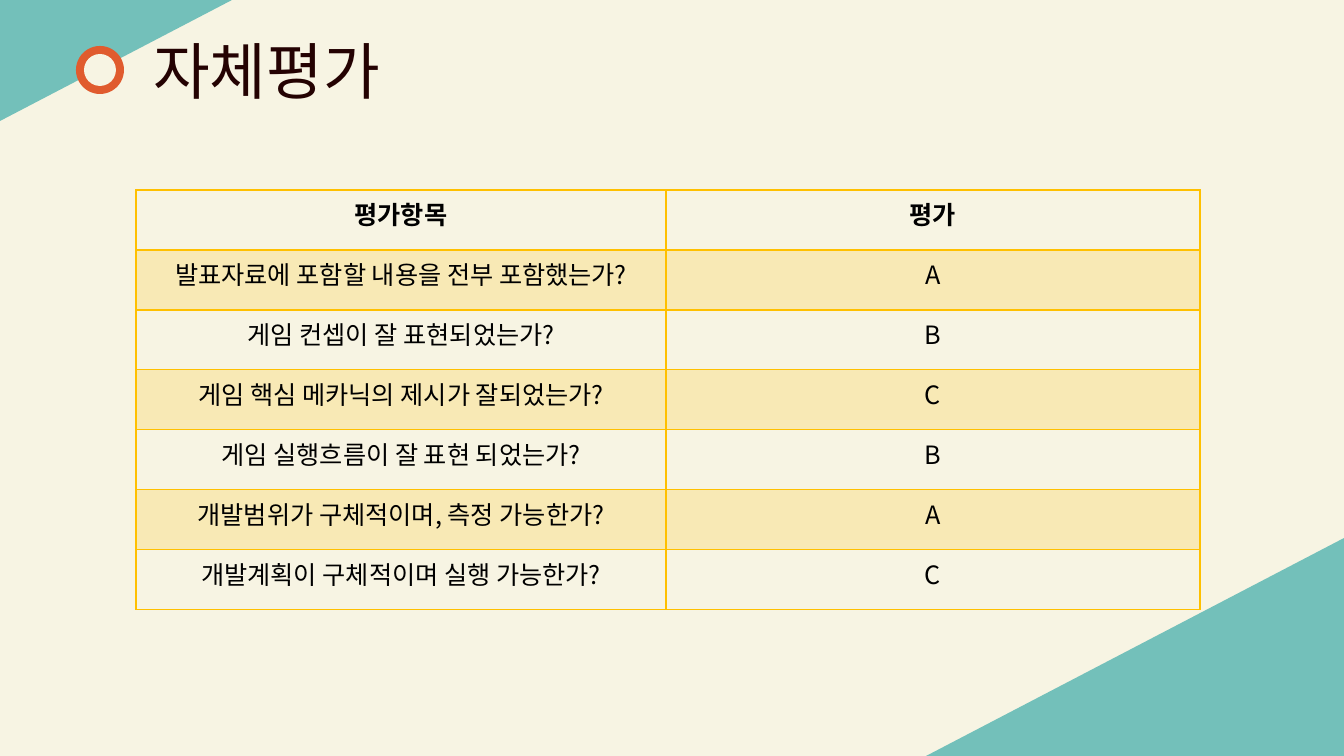
from lxml.etree import SubElement
from pptx import Presentation
from pptx.dml.color import RGBColor
from pptx.enum.shapes import MSO_SHAPE as Shape
from pptx.enum.text import PP_ALIGN as Align
from pptx.oxml.ns import qn
from pptx.util import Pt

PX = 914400 / 100.8
FONT = "Noto Sans CJK KR"
COLORS = {
    "paper": "F7F4E3",
    "teal": "73C0BA",
    "orange": "E05B2E",
    "title": "240202",
    "ink": "000000",
    "gold": "FFC000",
}
TITLE = {"size": Pt(44), "bold": False}
HEADER = {"size": Pt(18), "bold": True}
BODY = {"size": Pt(18), "bold": False}
RATINGS = [
    ("평가항목", "평가"),
    ("발표자료에 포함할 내용을 전부 포함했는가?", "A"),
    ("게임 컨셉이 잘 표현되었는가?", "B"),
    ("게임 핵심 메카닉의 제시가 잘되었는가?", "C"),
    ("게임 실행흐름이 잘 표현 되었는가?", "B"),
    ("개발범위가 구체적이며, 측정 가능한가?", "A"),
    ("개발계획이 구체적이며 실행 가능한가?", "C"),
]


def emu(*lengths):
    """Turn px lengths into EMU."""
    return [round(length * PX) for length in lengths]


def color(name):
    """Look up a named colour."""
    return RGBColor.from_string(COLORS[name])


def paint(shape, name):
    """Give a shape a flat fill without outline or shadow."""
    shape.shadow.inherit = False
    shape.fill.solid()
    shape.fill.fore_color.rgb = color(name)
    shape.line.fill.background()


def write(frame, text, style, ink):
    """Write one centred line into a text frame."""
    para = frame.paragraphs[0]
    para.alignment = Align.CENTER
    span = para.add_run()
    span.text = text
    span.font.color.rgb = color(ink)
    span.font.name = FONT
    for key, value in style.items():
        setattr(span.font, key, value)
    SubElement(span.font._element, qn("a:ea"), typeface=FONT)


def add_corner(page, corner, width, height):
    """Fill a page corner with a triangle; signed sizes point inward."""
    left, top = corner
    outline = page.shapes.build_freeform(left, top, scale=PX)
    outline.add_line_segments([(left + width, top), (left, top + height)])
    paint(outline.convert_to_shape(), "teal")


def add_heading(page, left, top, text):
    """Place the ring and the title beside it."""
    size = 48
    for inset, name in ((0, "orange"), (8, "paper")):
        side = size - 2 * inset
        disc = page.shapes.add_shape(
            Shape.OVAL, *emu(left + inset, top + inset, side, side))
        paint(disc, name)
    box = page.shapes.add_textbox(*emu(left + 16, top - 18, 349, 85))
    box.text_frame.word_wrap = True
    write(box.text_frame, text, TITLE, "title")


def add_borders(cell, bottom):
    """Draw gold lines round a cell, with its own bottom width."""
    props = cell._tc.get_or_add_tcPr()
    for side, points in (("L", 1), ("R", 1), ("T", 1), ("B", bottom)):
        line = SubElement(props, qn(f"a:ln{side}"), w=str(Pt(points)))
        fill = SubElement(line, qn("a:solidFill"))
        SubElement(fill, qn("a:srgbClr"), val=COLORS["gold"])


def fill_cell(cell, tinted):
    """Tint a cell with translucent gold or leave it clear."""
    if not tinted:
        cell.fill.background()
        return
    cell.fill.solid()
    cell.fill.fore_color.rgb = color("gold")
    tint = cell._tc.tcPr.find(f"{qn('a:solidFill')}/{qn('a:srgbClr')}")
    SubElement(tint, qn("a:alpha"), val="20000")


def add_ratings(page, left, top, widths, row_height):
    """Place the self-rating table with every other row tinted."""
    table = page.shapes.add_table(
        len(RATINGS), len(widths),
        *emu(left, top, sum(widths), row_height * len(RATINGS))).table
    table.first_row = table.horz_banding = False
    for column, width in zip(table.columns, emu(*widths)):
        column.width = width
    for index, texts in enumerate(RATINGS):
        style = BODY if index else HEADER
        for cell, text in zip(table.rows[index].cells, texts):
            write(cell.text_frame, text, style, "ink")
            add_borders(cell, bottom=1 if index else 2)
            fill_cell(cell, tinted=index % 2 == 1)


def build():
    """Build the self-evaluation slide and save it."""
    deck = Presentation()
    deck.slide_width, deck.slide_height = emu(1344, 756)
    page = deck.slides.add_slide(deck.slide_layouts[6])
    page.background.fill.solid()
    page.background.fill.fore_color.rgb = color("paper")
    add_corner(page, (1344, 756), -418, -218)
    add_corner(page, (0, 0), 232, 121)
    add_heading(page, 76, 46, "자체평가")
    add_ratings(page, 136, 190, (530, 534), 60)
    deck.save("out.pptx")


if __name__ == "__main__":
    build()
